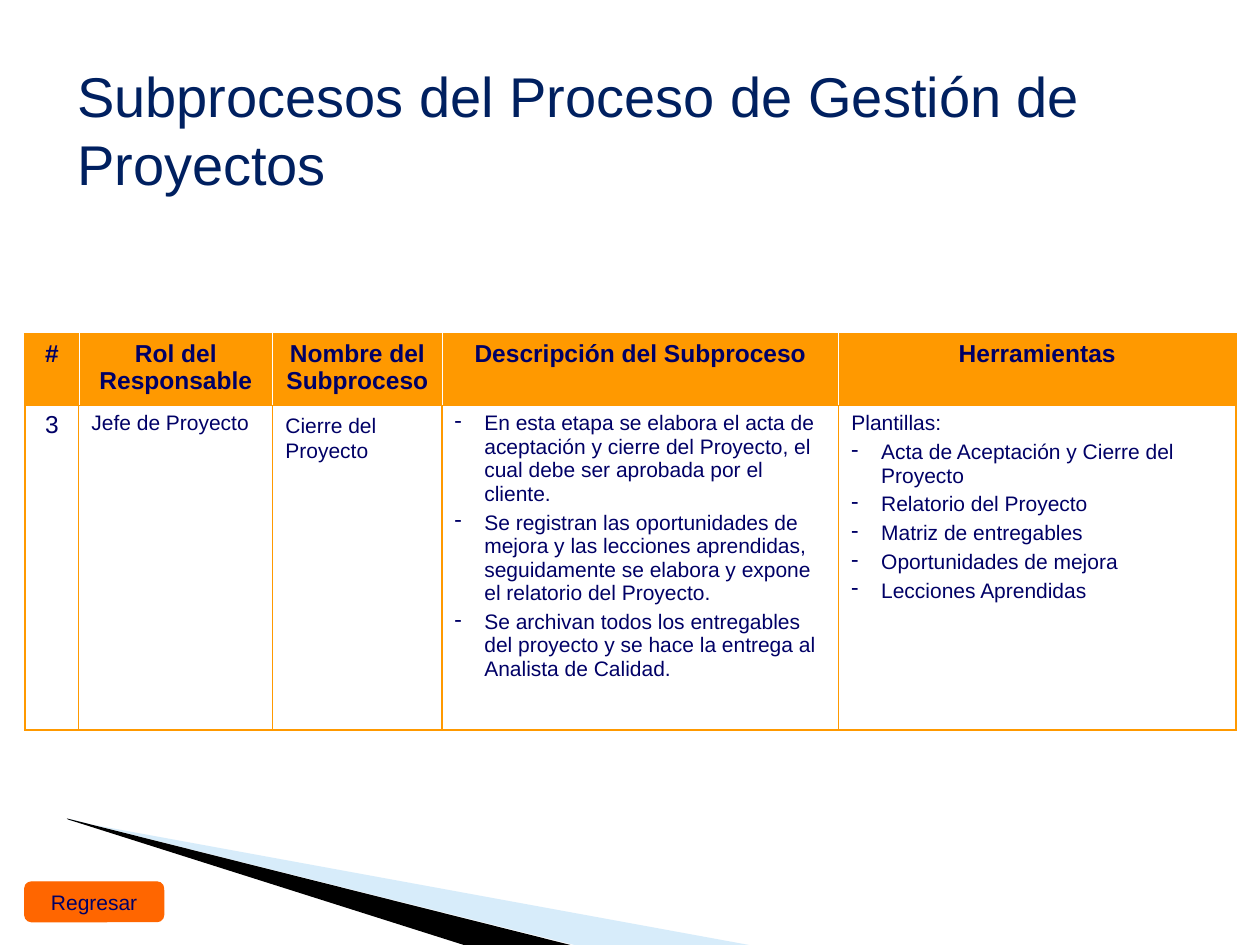
from dataclasses import dataclass

from lxml import etree
from pptx import Presentation
from pptx.dml.color import RGBColor
from pptx.enum.shapes import MSO_SHAPE
from pptx.enum.text import MSO_ANCHOR, MSO_AUTO_SIZE, PP_ALIGN
from pptx.oxml.ns import qn
from pptx.util import Cm, Pt

LEFT, CENTER = PP_ALIGN.LEFT, PP_ALIGN.CENTER
TOP, MIDDLE = MSO_ANCHOR.TOP, MSO_ANCHOR.MIDDLE
FIT_SHAPE = MSO_AUTO_SIZE.SHAPE_TO_FIT_TEXT
BUTTON_SHAPE = MSO_SHAPE.FLOWCHART_ALTERNATE_PROCESS
TITLE_ONLY = 5


@dataclass(frozen=True)
class Theme:
    font: str = "Arial"
    title: str = "002060"
    text: str = "000066"
    accent: str = "FF9900"
    button: str = "FF6600"
    white: str = "FFFFFF"
    black: str = "000000"
    sky: str = "9BD0F4"
    title_size: int = 32
    header_size: int = 14
    body_size: int = 12
    outer_line: float = 1.08
    inner_line: float = 0.75
    header_line: float = 0.45
    item_gap: int = 3
    indent: float = 0.6


class SlideBuilder:
    def __init__(self, slide, theme):
        self.slide = slide
        self.theme = theme

    def add_text(self, paragraph, text, size, color=None, bold=False, align=LEFT):
        paragraph.alignment = align
        run = paragraph.add_run()
        run.text = text
        run.font.name = self.theme.font
        run.font.size = Pt(size)
        run.font.bold = bold
        run.font.color.rgb = RGBColor.from_string(color or self.theme.text)

    def paint(self, shape, color, line=None):
        shape.shadow.inherit = False
        shape.fill.solid()
        shape.fill.fore_color.rgb = RGBColor.from_string(color)
        if line:
            shape.line.color.rgb = RGBColor.from_string(color)
            shape.line.width = Pt(line)
        else:
            shape.line.fill.background()

    def title(self, text, left, top, width, height):
        heading = self.slide.shapes.title
        heading.left, heading.top = Cm(left), Cm(top)
        heading.width, heading.height = Cm(width), Cm(height)
        frame = heading.text_frame
        frame.word_wrap = True
        frame.auto_size = FIT_SHAPE
        frame.vertical_anchor = TOP
        self.add_text(frame.paragraphs[0], text, self.theme.title_size, self.theme.title)

    def wedge(self, points, color, opacity=100):
        corners = [(Cm(x), Cm(y)) for x, y in points]
        builder = self.slide.shapes.build_freeform(*corners[0])
        builder.add_line_segments(corners[1:], close=True)
        wedge = builder.convert_to_shape()
        self.paint(wedge, color)
        if opacity < 100:
            fill_color = wedge.element.spPr.find(qn("a:solidFill"))[0]
            etree.SubElement(fill_color, qn("a:alpha"), val=str(opacity * 1000))

    def button(self, text, left, top, width, height):
        button = self.slide.shapes.add_shape(
            BUTTON_SHAPE, Cm(left), Cm(top), Cm(width), Cm(height))
        self.paint(button, self.theme.button, self.theme.inner_line)
        frame = button.text_frame
        frame.word_wrap = False
        frame.vertical_anchor = MIDDLE
        self.add_text(frame.paragraphs[0], text, self.theme.body_size, align=CENTER)

    def dash(self, paragraph):
        indent = Cm(self.theme.indent)
        properties = paragraph._p.get_or_add_pPr()
        properties.set("marL", str(indent))
        properties.set("indent", str(-indent))
        bullet_color = etree.SubElement(properties, qn("a:buClr"))
        etree.SubElement(bullet_color, qn("a:srgbClr"), val=self.theme.text)
        etree.SubElement(properties, qn("a:buChar"), char="-")

    def borders(self, cell, edges):
        properties = cell._tc.get_or_add_tcPr()
        for position, (side, (color, width)) in enumerate(edges.items()):
            line = etree.Element(qn(f"a:ln{side}"), w=str(Pt(width)))
            fill = etree.SubElement(line, qn("a:solidFill"))
            etree.SubElement(fill, qn("a:srgbClr"), val=color)
            properties.insert(position, line)

    def frame_cell(self, cell, is_header, is_first, is_last):
        theme = self.theme
        outer = (theme.accent, theme.outer_line)
        rule = (theme.accent, theme.inner_line)
        divider = (theme.white, theme.header_line) if is_header else rule
        self.borders(cell, {
            "L": outer if is_first else divider,
            "R": outer if is_last else divider,
            "T": outer if is_header else rule,
            "B": rule if is_header else outer,
        })

    def fill_cell(self, cell, lines, is_header, is_first):
        theme = self.theme
        if is_header:
            cell.fill.solid()
            cell.fill.fore_color.rgb = RGBColor.from_string(theme.accent)
        else:
            cell.fill.background()
        large = is_header or is_first
        frame = cell.text_frame
        for number, line in enumerate(lines):
            paragraph = frame.add_paragraph() if number else frame.paragraphs[0]
            if number:
                paragraph.space_before = Pt(theme.item_gap)
            if line.startswith("- "):
                self.dash(paragraph)
            self.add_text(paragraph, line.removeprefix("- "),
                          theme.header_size if large else theme.body_size,
                          bold=is_header, align=CENTER if large else LEFT)

    def table(self, rows, left, top, widths, heights):
        table = self.slide.shapes.add_table(
            len(rows), len(widths), Cm(left), Cm(top),
            Cm(sum(widths)), Cm(sum(heights))).table
        table.first_row = table.horz_banding = False
        for column, width in zip(table.columns, widths):
            column.width = Cm(width)
        for r, (row, height) in enumerate(zip(rows, heights)):
            table.rows[r].height = Cm(height)
            for c, lines in enumerate(row):
                cell = table.cell(r, c)
                self.fill_cell(cell, lines, r == 0, c == 0)
                self.frame_cell(cell, r == 0, c == 0, c == len(widths) - 1)
        return table


HEADERS = ["#", "Rol del Responsable", "Nombre del Subproceso",
           "Descripción del Subproceso", "Herramientas"]
CLOSING = [
    ["3"],
    ["Jefe de Proyecto"],
    ["Cierre del Proyecto"],
    ["- En esta etapa se elabora el acta de aceptación y cierre del Proyecto, "
     "el cual debe ser aprobada por el cliente.",
     "- Se registran las oportunidades de mejora y las lecciones aprendidas, "
     "seguidamente se elabora y expone el relatorio del Proyecto.",
     "- Se archivan todos los entregables del proyecto y se hace la entrega al "
     "Analista de Calidad."],
    ["Plantillas:",
     "- Acta de Aceptación y Cierre del Proyecto",
     "- Relatorio del Proyecto",
     "- Matriz de entregables",
     "- Oportunidades de mejora",
     "- Lecciones Aprendidas"],
]


def main():
    deck = Presentation()
    deck.slide_width, deck.slide_height = Cm(25.4), Cm(19.05)
    theme = Theme()
    page = SlideBuilder(deck.slides.add_slide(deck.slide_layouts[TITLE_ONLY]), theme)

    # Corner decoration
    page.wedge([(1.4, 16.54), (15.1, 19.05), (11.58, 19.05), (1.4, 16.51)],
               theme.sky, opacity=40)
    page.wedge([(1.35, 16.5), (11.5, 19.05), (9.35, 19.05), (1.37, 16.52)], theme.black)

    # Subprocess table
    table = page.table([[[header] for header in HEADERS], CLOSING], 0.5, 6.73,
                       widths=[1.09, 3.91, 3.41, 8, 8], heights=[1.44, 6.55])
    subprocess_name = table.cell(1, 2).text_frame.paragraphs[0]
    subprocess_name.line_spacing = 1.1

    # Return button and title
    page.button("Regresar", 0.5, 17.78, 2.8, 0.8)
    page.title("Subprocesos del Proceso de Gestión de Proyectos", 1.3, 1.12, 21.13, 2.97)

    deck.save("out.pptx")


if __name__ == "__main__":
    main()
